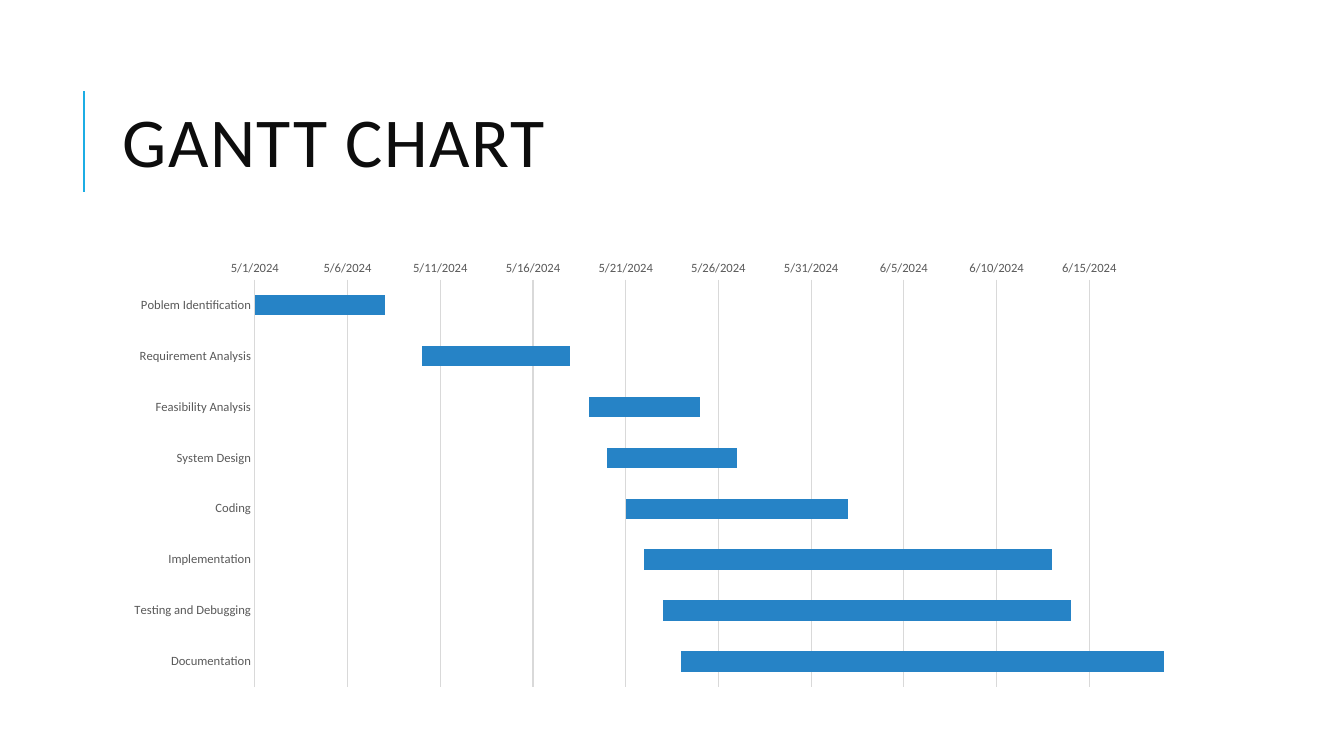
"""Build a slide with a Gantt chart made of stacked bars."""
from pptx import Presentation
from pptx import util as u
from pptx.chart.data import CategoryChartData
from pptx.dml.color import RGBColor
from pptx.enum import chart as ch, shapes, text
from pptx.oxml.ns import qn
from lxml import etree

FONT = "Calibri"
FIRST_DAY, LAST_DAY = 45413, 45462
TASKS = [
    ("Poblem Identification", 45413, 7),
    ("Requirement Analysis", 45422, 8),
    ("Feasibility Analysis", 45431, 6),
    ("System Design", 45432, 7),
    ("Coding", 45433, 12),
    ("Implementation", 45434, 22),
    ("Testing and Debugging", 45435, 22),
    ("Documentation", 45436, 26),
]


def px(n):
    return u.Emu(round(n * 914400 / 100.8))


def rgb(h):
    return RGBColor.from_string(h)


prs = Presentation()
prs.slide_width, prs.slide_height = px(1344), px(756)
s = prs.slides.add_slide(prs.slide_layouts[6])

rule = s.shapes.add_connector(shapes.MSO_CONNECTOR.STRAIGHT, px(84), px(192), px(84), px(91))
rule.line.color.rgb = rgb("1CADE4")
rule.line.width = u.Pt(1.5)
etree.SubElement(rule._element.spPr, qn("a:effectLst"))

tf = s.shapes.add_textbox(px(113), px(65), px(1072), px(165)).text_frame
tf.word_wrap = True
tf.vertical_anchor = text.MSO_ANCHOR.MIDDLE
p = tf.paragraphs[0]
p.line_spacing = 0.8
r = p.add_run()
r.text = "GANTT CHART"
p.font.name, p.font.size = FONT, u.Pt(50)
p.font.color.rgb = rgb("0D0D0D")
r._r.get_or_add_rPr().set("spc", "100")

data = CategoryChartData()
data.categories = [name for name, start, days in TASKS]
data.add_series("Series 1", [start for name, start, days in TASKS])
data.add_series("Series 2", [days for name, start, days in TASKS])
chart = s.shapes.add_chart(
    ch.XL_CHART_TYPE.BAR_STACKED, px(113), px(252), px(1072), px(444), data
).chart
chart.has_legend = False
chart.has_title = False
chart.font.name, chart.font.size = FONT, u.Pt(10)
chart.font.color.rgb = rgb("000000")

plot = chart.plots[0]
plot.gap_width, plot.overlap = 150, 100
plot.vary_by_categories = False
offset, bars = plot.series
offset.format.fill.background()
offset.format.line.fill.background()
bars.format.fill.solid()
bars.format.fill.fore_color.rgb = rgb("2683C6")

tasks, dates = chart.category_axis, chart.value_axis
for axis in (tasks, dates):
    axis.major_tick_mark = axis.minor_tick_mark = ch.XL_TICK_MARK.NONE
    font = axis.tick_labels.font
    font.name, font.size = FONT, u.Pt(9)
    font.color.rgb = rgb("595959")
tasks.reverse_order = True
dates.minimum_scale, dates.maximum_scale = FIRST_DAY, LAST_DAY
dates.major_unit = 5
dates.tick_labels.number_format = "m/d/yyyy"
dates.tick_labels.number_format_is_linked = False
dates.format.line.fill.background()
dates.has_major_gridlines = True
for line in (tasks.format.line, dates.major_gridlines.format.line):
    line.color.rgb = rgb("D9D9D9")
    line.width = u.Pt(0.75)

prs.save("out.pptx")
